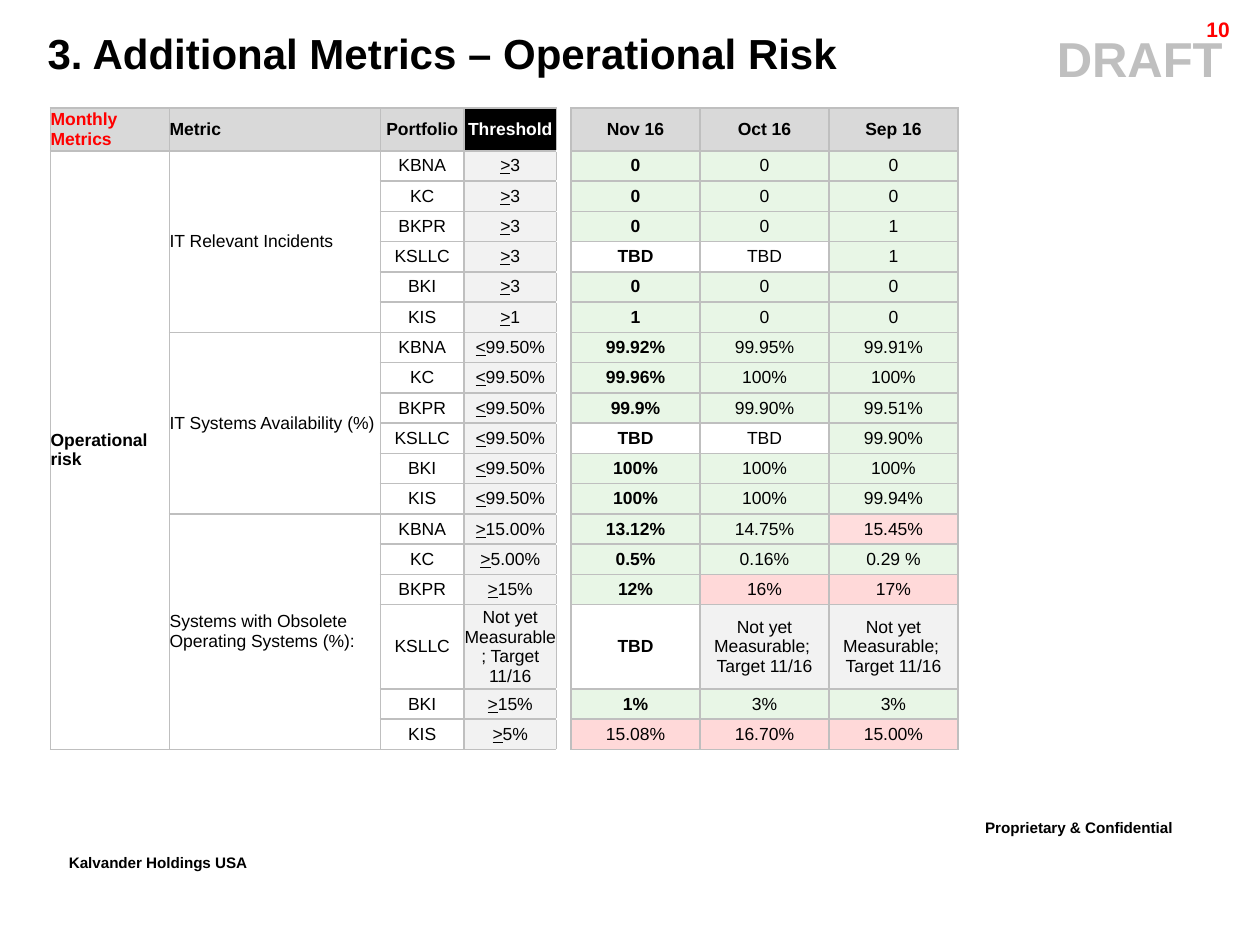
from lxml import etree
from pptx import Presentation
from pptx.dml.color import RGBColor
from pptx.enum.text import MSO_ANCHOR, PP_ALIGN
from pptx.oxml.ns import qn
from pptx.util import Cm, Pt

LEFT, CENTER, RIGHT = PP_ALIGN.LEFT, PP_ALIGN.CENTER, PP_ALIGN.RIGHT
MIDDLE = MSO_ANCHOR.MIDDLE

BLACK = RGBColor(0x00, 0x00, 0x00)
WHITE = RGBColor(0xFF, 0xFF, 0xFF)
RED = RGBColor(0xFF, 0x00, 0x00)
SILVER = RGBColor(0xBF, 0xBF, 0xBF)
HEADER_GREY = RGBColor(0xD9, 0xD9, 0xD9)
PALE_GREY = RGBColor(0xF2, 0xF2, 0xF2)
PALE_GREEN = RGBColor(0xE8, 0xF6, 0xE6)
PALE_RED = RGBColor(0xFF, 0xD9, 0xD9)
LIGHT_RED = RGBColor(0xFF, 0xDD, 0xDD)

FONT = "Arial"
GAP_COLUMN, FIRST_MONTH = 4, 5
COLUMN_WIDTHS = [2.4, 4.25, 1.68, 1.87, 0.29, 2.6, 2.6, 2.6]
HEADER_HEIGHT, ROW_HEIGHT, TALL_HEIGHT = 0.86, 0.61, 1.69
TALL_ROW = 16

HEADERS = ["Monthly Metrics", "Metric", "Portfolio", "Threshold", "",
           "Nov 16", "Oct 16", "Sep 16"]
PORTFOLIOS = ["KBNA", "KC", "BKPR", "KSLLC", "BKI", "KIS"]
PENDING = "Not yet\nMeasurable; \nTarget 11/16"
METRICS = [
    ("IT Relevant Incidents", [
        (">3", "0", "0", "0"),
        (">3", "0", "0", "0"),
        (">3", "0", "0", "1"),
        (">3", "TBD", "TBD", "1"),
        (">3", "0", "0", "0"),
        (">1", "1", "0", "0"),
    ]),
    ("IT Systems Availability (%)", [
        ("<99.50%", "99.92%", "99.95%", "99.91%"),
        ("<99.50%", "99.96%", "100%", "100%"),
        ("<99.50%", "99.9%", "99.90%", "99.51%"),
        ("<99.50%", "TBD", "TBD", "99.90%"),
        ("<99.50%", "100%", "100%", "100%"),
        ("<99.50%", "100%", "100%", "99.94%"),
    ]),
    ("Systems with Obsolete Operating Systems (%):", [
        (">15.00%", "13.12%", "14.75%", "15.45%"),
        (">5.00%", "0.5%", "0.16%", "0.29 %"),
        (">15%", "12%", "16%", "17%"),
        ("Not yet Measurable; Target 11/16", "TBD", PENDING, PENDING),
        (">15%", "1%", "3%", "3%"),
        (">5%", "15.08%", "16.70%", "15.00%"),
    ]),
]
BREACH_FILLS = {
    "15.45%": LIGHT_RED, "16%": PALE_RED, "17%": PALE_RED,
    "15.08%": PALE_RED, "16.70%": PALE_RED, "15.00%": PALE_RED,
}
STATUS_FILLS = {"TBD": None, PENDING: PALE_GREY, **BREACH_FILLS}


def write(frame, text, size=10, color=BLACK, bold=False, align=LEFT,
          spacing=None, indent=None, baseline=None):
    for index, line in enumerate(text.split("\n")):
        paragraph = frame.add_paragraph() if index else frame.paragraphs[0]
        paragraph.alignment = align
        if spacing:
            paragraph.line_spacing = spacing
        if indent:
            properties = paragraph._p.get_or_add_pPr()
            properties.set("marL", str(indent))
            properties.set("indent", "0")
        symbol = line[:1] if line[:1] in ("<", ">") else ""
        for part, underline in ((symbol, True), (line[len(symbol):], False)):
            if not part:
                continue
            run = paragraph.add_run()
            run.text = part
            font = run.font
            font.name, font.size, font.bold = FONT, Pt(size), bold
            font.color.rgb = color
            if underline:
                font.underline = True
            if baseline:
                run._r.get_or_add_rPr().set("baseline", str(baseline))
        if not line:
            etree.SubElement(paragraph._p, qn("a:endParaRPr"), sz=str(size * 100))


def add_label(slide, text, left, top, width, height, wrap=True, **text_format):
    box = slide.shapes.add_textbox(Cm(left), Cm(top), Cm(width), Cm(height))
    box.text_frame.word_wrap = wrap
    write(box.text_frame, text, **text_format)


def add_borders(cell, sides):
    properties = cell._tc.get_or_add_tcPr()
    for side in sides:
        line = etree.SubElement(properties, qn(f"a:ln{side}"), w=str(Pt(1)))
        solid = etree.SubElement(line, qn("a:solidFill"))
        etree.SubElement(solid, qn("a:srgbClr"), val=str(SILVER))


def fill_cell(cell, text, fill=None, **text_format):
    cell.vertical_anchor = MIDDLE
    if fill is None:
        cell.fill.background()
    else:
        cell.fill.solid()
        cell.fill.fore_color.rgb = fill
    write(cell.text_frame, text, **text_format)


def fill_header(table):
    for column, title in enumerate(HEADERS):
        fill, color = HEADER_GREY, BLACK
        if column == 0:
            color = RED
        elif title == "Threshold":
            fill, color = BLACK, WHITE
        elif column == GAP_COLUMN:
            fill = None
        fill_cell(table.cell(0, column), title, fill, color=color, bold=True,
                  align=LEFT if column < 2 else CENTER)


def fill_record(table, row, portfolio, threshold, months):
    fill_cell(table.cell(row, 2), portfolio, align=CENTER)
    fill_cell(table.cell(row, 3), threshold, PALE_GREY, align=CENTER)
    fill_cell(table.cell(row, GAP_COLUMN), "")
    for column, value in enumerate(months, FIRST_MONTH):
        latest = column == FIRST_MONTH
        fill_cell(table.cell(row, column), value,
                  STATUS_FILLS.get(value, PALE_GREEN), align=CENTER,
                  bold=latest and value not in BREACH_FILLS)


def merge_down(table, row, column, count, text, bold=False):
    for offset in range(count):
        fill_cell(table.cell(row + offset, column), "" if offset else text, bold=bold)
    table.cell(row, column).merge(table.cell(row + count - 1, column))


def add_metrics_table(slide):
    group_size = len(PORTFOLIOS)
    record_count = group_size * len(METRICS)
    heights = [HEADER_HEIGHT] + [ROW_HEIGHT] * record_count
    heights[TALL_ROW] = TALL_HEIGHT
    table = slide.shapes.add_table(
        len(heights), len(COLUMN_WIDTHS), Cm(1.02), Cm(2.18),
        Cm(sum(COLUMN_WIDTHS)), Cm(sum(heights))).table
    table.first_row = table.horz_banding = False
    for column, width in zip(table.columns, COLUMN_WIDTHS):
        column.width = Cm(width)
    for row, height in zip(table.rows, heights):
        row.height = Cm(height)
        for column, cell in enumerate(row.cells):
            cell.margin_left = cell.margin_right = 0
            cell.margin_top = cell.margin_bottom = 0
            add_borders(cell, "LR" if column == GAP_COLUMN else "LRTB")
    fill_header(table)
    merge_down(table, 1, 0, record_count, "Operational risk", bold=True)
    for group, (metric, records) in enumerate(METRICS):
        first_row = 1 + group * group_size
        merge_down(table, first_row, 1, group_size, metric)
        for offset, (portfolio, record) in enumerate(zip(PORTFOLIOS, records)):
            threshold, *months = record
            fill_record(table, first_row + offset, portfolio, threshold, months)


def main():
    presentation = Presentation()
    presentation.slide_width, presentation.slide_height = Cm(25.4), Cm(19.05)
    slide = presentation.slides.add_slide(presentation.slide_layouts[6])
    footer = {"size": 15, "bold": True, "baseline": 30000}
    add_label(slide, "Proprietary & Confidential", 19.61, 16.31, 5.03, 0.89, **footer)
    add_label(slide, "Kalvander Holdings USA", 1.14, 17.02, 4.85, 0.89,
              wrap=False, **footer)
    add_label(slide, "DRAFT", 2.92, 0.46, 22.33, 1.45, size=28, color=SILVER,
              bold=True, align=CENTER, indent=Cm(17.78))
    add_label(slide, "10", 22.63, 0.28, 2.41, 0.61, size=12, color=RED,
              bold=True, align=RIGHT, spacing=0.86)
    add_label(slide, "3. Additional Metrics – Operational Risk", 0.71, 0.43,
              23.75, 1.27, size=24, bold=True)
    add_metrics_table(slide)
    presentation.save("out.pptx")


if __name__ == "__main__":
    main()
